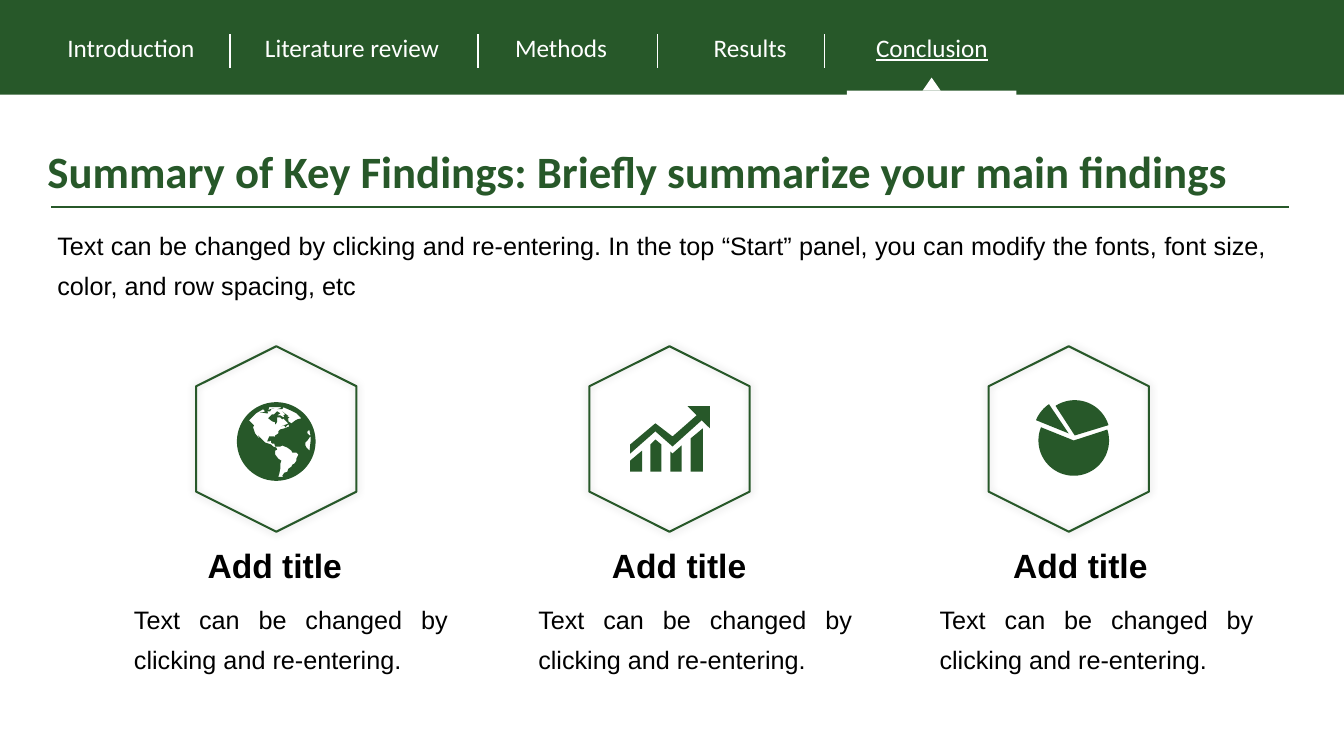
from dataclasses import dataclass
from math import cos, radians, sin

from lxml.etree import SubElement
from pptx import Presentation
from pptx.dml.color import RGBColor
from pptx.enum.shapes import MSO_CONNECTOR as Connector, MSO_SHAPE as Preset
from pptx.enum.text import MSO_ANCHOR as Anchor, MSO_AUTO_SIZE as AutoSize, PP_ALIGN as Align
from pptx.oxml.ns import qn
from pptx.util import Emu, Pt

COLORS = {"green": "275829", "white": "FFFFFF", "black": "000000"}
FORMATS = {
    "heading": {"name": "Calibri", "size": Pt(32), "bold": True},
    "nav": {"name": "Calibri", "size": Pt(18)},
    "nav_active": {"name": "Calibri", "size": Pt(18), "underline": True},
    "card_title": {"name": "Arial", "size": Pt(24), "bold": True},
    "body": {"name": "Arial", "size": Pt(18)},
}
PARAGRAPHS = {
    "heading": {"alignment": Align.LEFT},
    "card_title": {"line_spacing": 0.9},
    "body": {"alignment": Align.JUSTIFY, "line_spacing": 1.3},
}
Contour = list[tuple[float, float]]
Icon = list[list[Contour]]


def px(length: float) -> Emu:
    """Convert px, 100 to the inch, to EMU."""
    return Emu(round(length * 9144))


def arc(center: tuple[int, int], radius: int, start: int, end: int) -> Contour:
    return [(center[0] + radius * cos(radians(angle)), center[1] + radius * sin(radians(angle)))
            for angle in range(start, end + 1, 2)]


def wedge(apex: tuple[int, int], start: int, end: int) -> Contour:
    return [apex, *arc(apex, 35, start, end)]


AMERICAS: Contour = [
    (299, 415), (295, 416), (293, 417), (289, 420), (286, 418), (286, 416), (285, 416), (287, 414),
    (285, 413), (286, 412), (285, 412), (280, 408), (283, 411), (281, 412), (282, 413), (281, 414),
    (278, 412), (275, 412), (278, 410), (275, 408), (272, 411), (270, 411), (266, 415), (270, 418),
    (273, 419), (273, 421), (274, 420), (275, 418), (275, 414), (278, 414), (280, 416), (281, 415),
    (284, 418), (286, 420), (284, 421), (279, 423), (282, 422), (283, 424), (286, 421), (287, 423),
    (282, 425), (278, 426), (276, 428), (276, 430), (273, 432), (273, 434), (272, 433), (267, 433),
    (265, 438), (267, 438), (269, 437), (269, 439), (270, 440), (272, 440), (273, 443), (278, 443),
    (280, 442), (285, 444), (289, 447), (290, 449), (294, 449), (296, 451), (294, 455), (294, 457),
    (292, 460), (290, 461), (289, 463), (286, 465), (285, 468), (282, 469), (280, 472), (281, 473),
    (276, 473), (277, 470), (278, 465), (278, 460), (279, 457), (276, 455), (273, 451), (273, 447),
    (275, 446), (274, 444), (271, 443), (269, 441), (263, 439), (260, 436), (256, 432), (258, 436),
    (253, 430), (251, 424), (252, 422), (250, 420), (247, 417), (254, 410), (261, 406), (263, 408),
    (261, 409), (258, 409), (264, 410), (266, 410), (265, 408), (268, 408), (269, 406), (272, 405),
    (268, 406), (266, 407), (267, 404), (274, 404), (279, 404), (278, 405), (275, 406), (280, 406),
    (281, 404), (288, 407), (294, 410),
]
EUROPE: Contour = [(305, 428), (306, 427), (307, 427), (308, 432), (307, 432), (305, 430)]
AFRICA: Contour = [(306, 446), (304, 444), (303, 442), (303, 439), (305, 437), (307, 434),
                   (308, 433), (308, 438), (307, 447)]
GLOBE: Icon = [[arc((274, 438), 39, 0, 358), AMERICAS, EUROPE, AFRICA]]
TREND: Icon = [
    [
        [(625, 468), (637, 468), (637, 447), (625, 457)],
        [(645, 441), (645, 468), (656, 468), (656, 441), (650, 436)],
        [(665, 448), (665, 468), (676, 468), (676, 442), (667, 450)],
        [(685, 435), (685, 468), (697, 468), (697, 425)],
    ],
    [[(704, 403), (682, 403), (691, 412), (667, 433), (650, 420), (625, 441),
      (625, 450), (650, 428), (667, 443), (696, 417), (704, 425)]],
]
PIE: Icon = [[wedge((1066, 432), -123, -17)], [wedge((1060, 430), 202, 236)],
             [wedge((1065, 437), -18, 202)]]


@dataclass(frozen=True)
class Finding:
    hexagon_left: int
    text_left: int
    icon: Icon


@dataclass(frozen=True)
class NavItem:
    label: str
    left: int
    width: int
    style: str = "nav"


FINDINGS = [Finding(182, 123, GLOBE), Finding(572, 524, TREND), Finding(968, 922, PIE)]
NAV_ITEMS = [
    NavItem("Introduction", 57, 146),
    NavItem("Literature review", 253, 193),
    NavItem("Methods", 501, 111),
    NavItem("Results", 698, 92),
    NavItem("Conclusion", 859, 131, "nav_active"),
]
SEPARATORS = [228, 474, 652, 818]


def color(name: str) -> RGBColor:
    return RGBColor.from_string(COLORS[name])


def write(frame, text: str, style: str, ink: str, wrap: bool = True) -> None:
    frame.word_wrap = wrap
    frame.auto_size = AutoSize.NONE
    paragraph = frame.paragraphs[0]
    paragraph.text = text
    for attribute, value in PARAGRAPHS.get(style, {}).items():
        setattr(paragraph, attribute, value)
    font = paragraph.runs[0].font
    for attribute, value in FORMATS[style].items():
        setattr(font, attribute, value)
    font.color.rgb = color(ink)


def add_text(shapes, box: tuple[int, int, int, int], text: str, style: str,
             ink: str = "black", wrap: bool = True) -> None:
    write(shapes.add_textbox(*map(px, box)).text_frame, text, style, ink, wrap)


def paint(shape, fill: str) -> None:
    shape.shadow.inherit = False
    shape.fill.solid()
    shape.fill.fore_color.rgb = color(fill)
    shape.line.fill.background()


def add_block(shapes, preset: Preset, box: tuple[int, int, int, int], fill: str) -> None:
    paint(shapes.add_shape(preset, *map(px, box)), fill)


def add_rule(shapes, start: tuple[int, int], end: tuple[int, int], ink: str, weight: float) -> None:
    rule = shapes.add_connector(Connector.STRAIGHT, *map(px, start + end))
    rule.line.color.rgb = color(ink)
    rule.line.width = Pt(weight)
    SubElement(rule._element.spPr, qn("a:effectLst"))


def add_hexagon(shapes, left: int) -> None:
    """Draw an upright outlined hexagon with a soft shadow."""
    hexagon = shapes.add_shape(Preset.HEXAGON, *map(px, (left, 356, 184, 159)))
    hexagon.rotation = 90
    hexagon.fill.background()
    hexagon.line.color.rgb = color("green")
    hexagon.line.width = Pt(1.5)
    hexagon.shadow.inherit = False
    effects = hexagon._element.spPr.find(qn("a:effectLst"))
    shadow = SubElement(effects, qn("a:outerShdw"), blurRad=str(Pt(6)), dist="0",
                        dir="18900000", algn="ctr", rotWithShape="0")
    tint = SubElement(shadow, qn("a:srgbClr"), val=COLORS["black"])
    SubElement(tint, qn("a:alpha"), val="20000")


def add_icon(shapes, icon: Icon) -> None:
    for contours in icon:
        outlines = [[(px(x), px(y)) for x, y in contour] for contour in contours]
        builder = shapes.build_freeform(*outlines[0][0])
        for index, outline in enumerate(outlines):
            if index:
                builder.move_to(*outline[0])
            builder.add_line_segments(outline[1:], close=True)
        paint(builder.convert_to_shape(), "green")


def main() -> None:
    deck = Presentation()
    deck.slide_width, deck.slide_height = px(1333), px(750)
    slide = deck.slides.add_slide(deck.slide_layouts[5])
    shapes = slide.shapes

    heading = shapes.title
    heading.left, heading.top, heading.width, heading.height = map(px, (37, 135, 1241, 69))
    write(heading.text_frame, "Summary of Key Findings: Briefly summarize your main findings",
          "heading", "green")
    heading.text_frame.vertical_anchor = Anchor.MIDDLE
    add_rule(shapes, (51, 205), (1278, 205), "green", 1.25)
    add_text(shapes, (47, 215, 1219, 90),
             "Text can be changed by clicking and re-entering. In the top “Start” panel, "
             "you can modify the fonts, font size, color, and row spacing, etc", "body")

    for finding in FINDINGS:
        badge = shapes.add_group_shape().shapes
        add_hexagon(badge, finding.hexagon_left)
        add_icon(badge, finding.icon)
        add_text(shapes, (finding.text_left + 73, 540, 212, 40), "Add title", "card_title")
        add_text(shapes, (finding.text_left, 586, 331, 119),
                 "Text can be changed by clicking and re-entering.", "body")

    add_block(shapes, Preset.RECTANGLE, (0, 0, 1333, 94), "green")
    marker = shapes.add_group_shape().shapes
    add_block(marker, Preset.ISOSCELES_TRIANGLE, (915, 77, 18, 13), "white")
    add_block(marker, Preset.RECTANGLE, (840, 90, 168, 8), "white")
    for item in NAV_ITEMS:
        add_text(shapes, (item.left, 27, item.width, 40), item.label, item.style, "white", wrap=False)
    for x in SEPARATORS:
        add_rule(shapes, (x, 67), (x, 34), "white", 1)

    deck.save("out.pptx")


if __name__ == "__main__":
    main()
